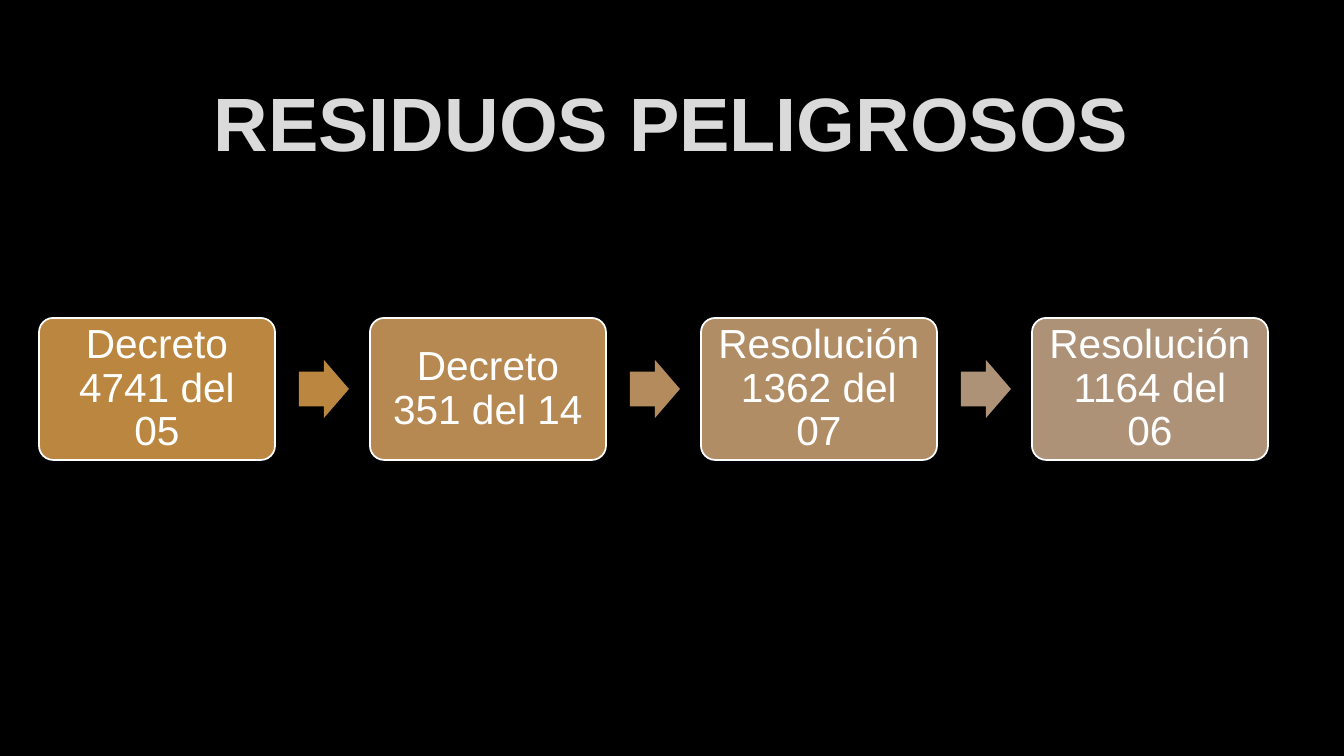
from lxml.etree import SubElement
from pptx import Presentation
from pptx.dml.color import RGBColor
from pptx.enum.shapes import MSO_SHAPE
from pptx.enum.text import MSO_ANCHOR, PP_ALIGN
from pptx.oxml.ns import qn
from pptx.util import Emu, Pt

EMU_PER_PX = 914400 / 100.8
PITCH = 331
RULES = [
    ("Decreto 4741 del 05", "BB8640"),
    ("Decreto 351 del 14", "B78952"),
    ("Resolución 1362 del 07", "B18D65"),
    ("Resolución 1164 del 06", "AD9277"),
]
ARROW_COLORS = ["BB8640", "B48B5C", "AD9277"]


def px(length):
    return Emu(round(length * EMU_PER_PX))


def color(value):
    return RGBColor.from_string(value)


def write(holder, text, size, ink, bold=False, spacing=1.0, inset=0):
    frame = holder.text_frame
    frame.word_wrap = True
    frame.vertical_anchor = MSO_ANCHOR.MIDDLE
    frame.margin_left = frame.margin_right = px(inset)
    frame.margin_top = frame.margin_bottom = px(inset)
    paragraph = frame.paragraphs[0]
    paragraph.alignment = PP_ALIGN.CENTER
    paragraph.line_spacing = spacing
    run = paragraph.add_run()
    run.text = text
    run.font.name = "Arial"
    run.font.size = Pt(size)
    run.font.bold = bold
    run.font.color.rgb = color(ink)
    return run


def outline_text(run, ink, width, opacity):
    properties = run._r.get_or_add_rPr()
    outline = SubElement(properties, qn("a:ln"), w=str(Pt(width)))
    properties.insert(0, outline)
    fill = SubElement(outline, qn("a:solidFill"))
    ink_node = SubElement(fill, qn("a:srgbClr"), val=ink)
    SubElement(ink_node, qn("a:alpha"), val=str(opacity * 1000))


def add_title(slide, text):
    title = slide.shapes.add_textbox(px(101), px(68), px(1141), px(107))
    run = write(title, text, 54, "DADADA", bold=True)
    outline_text(run, "404040", 0.75, 10)


def add_filled(slide, preset, box, fill, adjustments):
    figure = slide.shapes.add_shape(preset, *map(px, box))
    figure.shadow.inherit = False
    figure.fill.solid()
    figure.fill.fore_color.rgb = color(fill)
    for index, value in enumerate(adjustments):
        figure.adjustments[index] = value
    return figure


def add_rule(slide, left, text, fill):
    rule = add_filled(slide, MSO_SHAPE.ROUNDED_RECTANGLE,
                      (left, 318, 236, 142), fill, [0.1])
    rule.line.color.rgb = color("FFFFFF")
    rule.line.width = Pt(1.25)
    write(rule, text, 29, "FFFFFF", spacing=0.9, inset=12)


def add_arrow(slide, left, fill):
    arrow = add_filled(slide, MSO_SHAPE.RIGHT_ARROW,
                       (left, 360, 50, 58), fill, [0.6, 0.5])
    arrow.line.fill.background()


def main():
    deck = Presentation()
    deck.slide_width, deck.slide_height = px(1344), px(756)
    slide = deck.slides.add_slide(deck.slide_layouts[6])
    slide.background.fill.solid()
    slide.background.fill.fore_color.rgb = color("000000")
    add_title(slide, "RESIDUOS PELIGROSOS")
    for index, (text, fill) in enumerate(RULES):
        add_rule(slide, 39 + index * PITCH, text, fill)
    for index, fill in enumerate(ARROW_COLORS):
        add_arrow(slide, 299 + index * PITCH, fill)
    deck.save("out.pptx")


if __name__ == "__main__":
    main()
